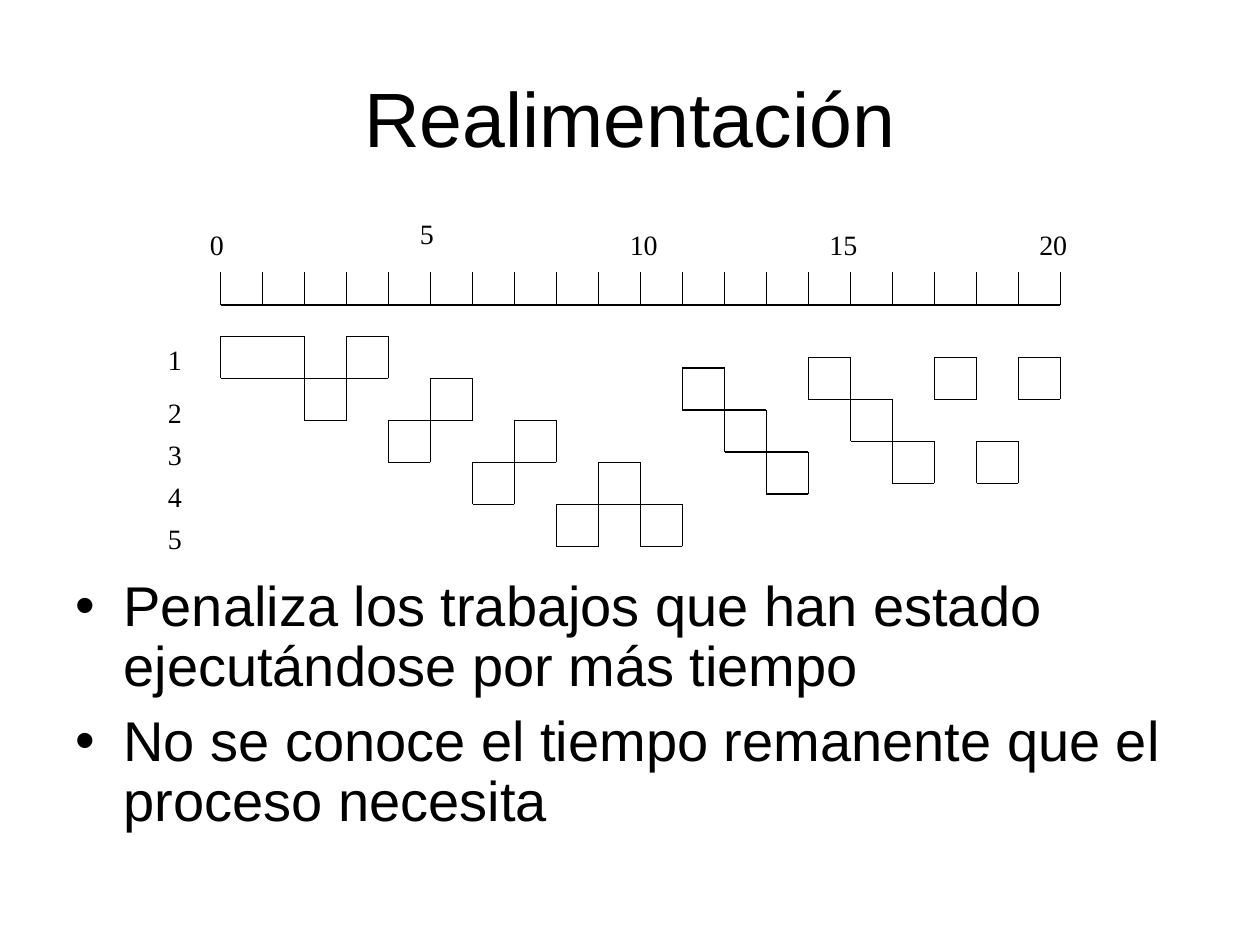
from lxml import etree
from pptx import Presentation
from pptx.dml.color import RGBColor
from pptx.enum.shapes import MSO_CONNECTOR
from pptx.enum.text import MSO_ANCHOR, MSO_AUTO_SIZE, PP_ALIGN
from pptx.oxml.ns import qn
from pptx.util import Inches, Pt

STRAIGHT = MSO_CONNECTOR.STRAIGHT
MIDDLE, CENTER, LEFT = MSO_ANCHOR.MIDDLE, PP_ALIGN.CENTER, PP_ALIGN.LEFT
NO_FIT, GROW = MSO_AUTO_SIZE.NONE, MSO_AUTO_SIZE.SHAPE_TO_FIT_TEXT
BLACK = RGBColor(0, 0, 0)
WHITE = RGBColor(255, 255, 255)
W, H = Inches(10), Inches(7.5)
CELL = Inches(1) / 3

BULLETS = [
    "Penaliza los trabajos que han estado ejecutándose por más tiempo",
    "No se conoce el tiempo remanente que el proceso necesita",
]
TIME_LABELS = [("0", -0.55, -2.75), ("5", 4.45, -3), ("10", 9.45, -2.75),
               ("15", 14.2, -2.75), ("20", 19.2, -2.75)]
PROCESS_ROWS = [0, 1.25, 2.25, 3.25, 4.25]
FIRST_SLICE = 2
SLICE_ROWS = [1, 0, 2, 1, 3, 2, 4, 3, 4, 0.75, 1.75, 2.75,
              0.5, 1.5, 2.5, 0.5, 2.5, 0.5]


def add_run(p, text, size, font):
    r = p.add_run()
    r.text = text
    r.font.size = Pt(size)
    r.font.name = font
    r.font.color.rgb = BLACK


def place(sp, left, top, width, height):
    sp.left, sp.top = int(left), int(top)
    sp.width, sp.height = int(width), int(height)


def fill_title(sp, box):
    place(sp, *box)
    tf = sp.text_frame
    tf.auto_size = NO_FIT
    tf.vertical_anchor = MIDDLE
    p = tf.paragraphs[0]
    p.alignment = CENTER
    add_run(p, "Realimentación", 44, "Arial")


def fill_body(sp, box):
    place(sp, *box)
    tf = sp.text_frame
    tf.auto_size = NO_FIT
    for i, text in enumerate(BULLETS):
        p = tf.add_paragraph() if i else tf.paragraphs[0]
        p.line_spacing = 0.9
        p.space_before = Pt(8)
        pPr = p._p.get_or_add_pPr()
        pPr.set("marL", str(Inches(0.38)))
        pPr.set("indent", str(-Inches(0.38)))
        etree.SubElement(pPr, qn("a:buChar")).set("char", "•")
        add_run(p, text, 32, "Arial")


def add_schedule(s, left, top):
    group = s.shapes.add_group_shape()

    def at(col, row):
        return int(left + col * CELL), int(top + row * CELL)

    def line(start, end):
        c = group.shapes.add_connector(STRAIGHT, *at(*start), *at(*end))
        c.line.color.rgb = BLACK
        c.line.width = Pt(0.99)
        etree.SubElement(c._element.spPr, qn("a:effectLst"))

    def label(text, col, row):
        width = Inches(0.2 + 0.11 * len(text))
        sp = group.shapes.add_textbox(*at(col, row), width, Inches(0.36))
        tf = sp.text_frame
        tf.word_wrap = False
        tf.auto_size = GROW
        p = tf.paragraphs[0]
        p.alignment = LEFT
        add_run(p, text, 16, "Times New Roman")

    def time_slice(col, row, length=1):
        corners = [(col, row), (col + length, row),
                   (col + length, row + 1), (col, row + 1)]
        for start, end in zip(corners, corners[1:] + corners[:1]):
            line(start, end)

    line((0, -0.75), (20, -0.75))
    for tick in range(21):
        line((tick, -0.75), (tick, -1.53))
    for text, col, row in TIME_LABELS:
        label(text, col, row)
    for number, row in enumerate(PROCESS_ROWS, 1):
        label(str(number), -1.55, row)
    time_slice(0, 0, FIRST_SLICE)
    for col, row in enumerate(SLICE_ROWS, FIRST_SLICE):
        time_slice(col, row)


prs = Presentation()
prs.slide_width, prs.slide_height = W, H
s = prs.slides.add_slide(prs.slide_layouts[1])
s.background.fill.solid()
s.background.fill.fore_color.rgb = WHITE
fill_title(s.shapes.title, (W * 0.05, H * 0.04, W * 0.9, H / 6))
fill_body(s.placeholders[1], (W * 0.05, H * 0.605, W * 0.9, H * 0.32))
add_schedule(s, W * 0.175, H * 0.356)
prs.save("out.pptx")
